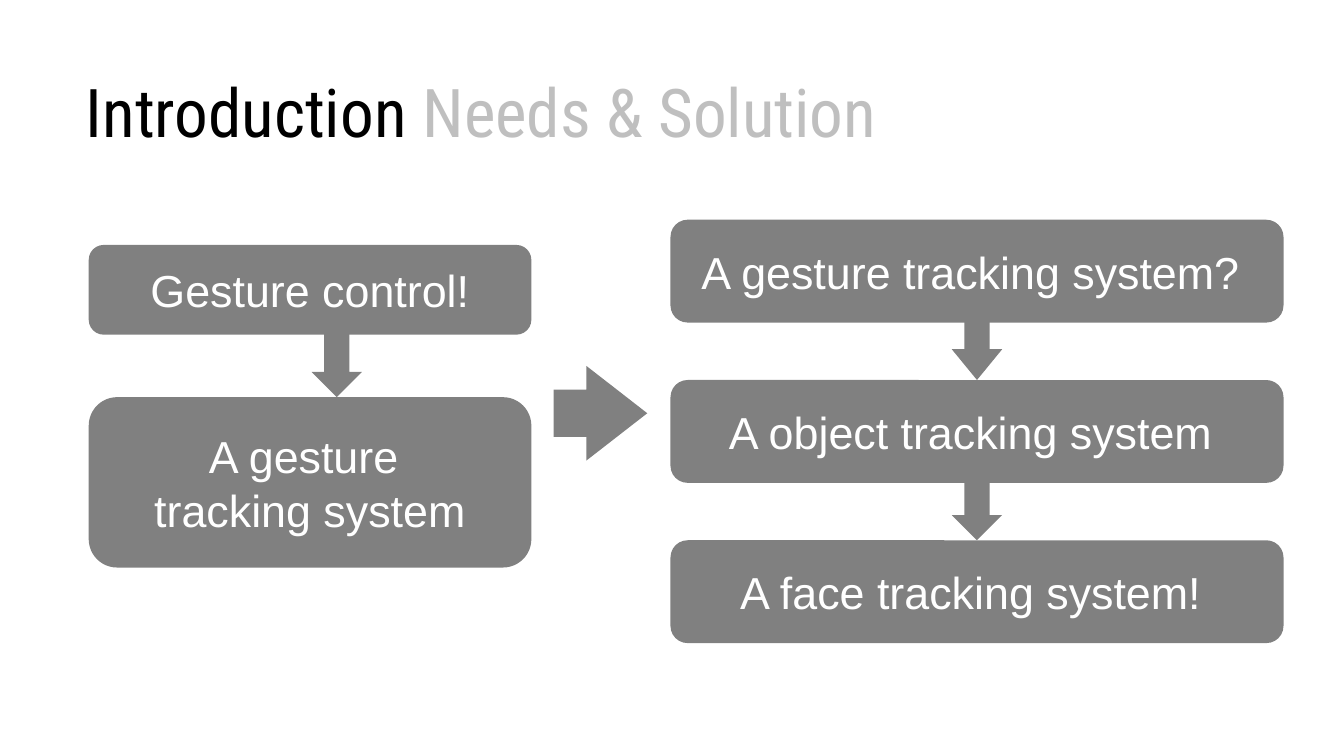
"""Build the Introduction slide: two stacks of steps joined by arrows."""
from pptx import Presentation
from pptx.dml.color import RGBColor
from pptx.enum.shapes import MSO_SHAPE as Shape
from pptx.enum.text import MSO_ANCHOR as Anchor, MSO_AUTO_SIZE as AutoSize, PP_ALIGN as Align
from pptx.util import Inches, Pt

COLORS = {"title": "000000", "subtitle": "BFBFBF", "fill": "808080", "text": "FFFFFF"}
TITLE = [("Introduction ", "title"), ("Needs & Solution", "subtitle")]
NEEDS = ["Gesture control!", "A gesture \ntracking system"]
SOLUTIONS = ["A gesture tracking system? ", "A object tracking system ", "A face tracking system! "]

SLIDE_WIDTH, SLIDE_HEIGHT = 13.33, 7.5
ARROW_WIDTH, ARROW_HEIGHT = 0.5, 0.63
NEED_LEFT, NEED_WIDTH = 0.88, 4.39
NEED_ROWS = [(2.43, 0.89), (3.94, 1.69)]
NEED_ARROW_CENTER = 3.34
SOLUTION_LEFT, SOLUTION_WIDTH = 6.65, 6.08
SOLUTION_TOP, SOLUTION_PITCH, SOLUTION_HEIGHT = 2.18, 1.59, 1.02
SOLUTION_ROWS = [(SOLUTION_TOP + row * SOLUTION_PITCH, SOLUTION_HEIGHT) for row in range(len(SOLUTIONS))]
SOLUTION_ARROW_CENTER = SOLUTION_LEFT + SOLUTION_WIDTH / 2


def color(name):
    return RGBColor.from_string(COLORS[name])


def add_block(slide, kind, left, top, width, height):
    shape = slide.shapes.add_shape(kind, Inches(left), Inches(top), Inches(width), Inches(height))
    shape.shadow.inherit = False
    shape.fill.solid()
    shape.fill.fore_color.rgb = color("fill")
    shape.line.fill.background()
    return shape


def add_step(slide, text, left, top, width, height):
    frame = add_block(slide, Shape.ROUNDED_RECTANGLE, left, top, width, height).text_frame
    frame.word_wrap = True
    frame.vertical_anchor = Anchor.MIDDLE
    frame.text = text
    for paragraph in frame.paragraphs:
        paragraph.alignment = Align.CENTER
        paragraph.font.name = "Arial"
        paragraph.font.size = Pt(32)
        paragraph.font.color.rgb = color("text")


def add_stack(slide, texts, left, width, rows, arrow_center, heads):
    for text, (top, height) in zip(texts, rows):
        add_step(slide, text, left, top, width, height)
    for (top, _), head in zip(rows[1:], heads):
        arrow = add_block(slide, Shape.DOWN_ARROW, arrow_center - ARROW_WIDTH / 2,
                          top - ARROW_HEIGHT, ARROW_WIDTH, ARROW_HEIGHT)
        arrow.adjustments[1] = head


def add_title(slide):
    title = slide.shapes.title
    title.left, title.top, title.width, title.height = map(Inches, (0.72, 0.63, 8.63, 0.94))
    frame = title.text_frame
    frame.word_wrap = True
    frame.auto_size = AutoSize.NONE
    frame.vertical_anchor = Anchor.MIDDLE
    frame.margin_left = frame.margin_right = Inches(0.13)
    frame.margin_top = frame.margin_bottom = Inches(0.07)
    paragraph = frame.paragraphs[0]
    paragraph.alignment = Align.LEFT
    paragraph.font.name = "Roboto Condensed"
    paragraph.font.size = Pt(48)
    for text, name in TITLE:
        run = paragraph.add_run()
        run.text = text
        run.font.color.rgb = color(name)


def main():
    presentation = Presentation()
    presentation.slide_width = Inches(SLIDE_WIDTH)
    presentation.slide_height = Inches(SLIDE_HEIGHT)
    slide = presentation.slides.add_slide(presentation.slide_layouts[5])
    add_title(slide)
    add_stack(slide, NEEDS, NEED_LEFT, NEED_WIDTH, NEED_ROWS, NEED_ARROW_CENTER, [0.5])
    add_stack(slide, SOLUTIONS, SOLUTION_LEFT, SOLUTION_WIDTH, SOLUTION_ROWS,
              SOLUTION_ARROW_CENTER, [0.61, 0.5])
    bridge = add_block(slide, Shape.RIGHT_ARROW, 5.49, 3.63, 0.93, 0.94)
    bridge.adjustments[1] = 0.65
    presentation.save("out.pptx")


if __name__ == "__main__":
    main()
